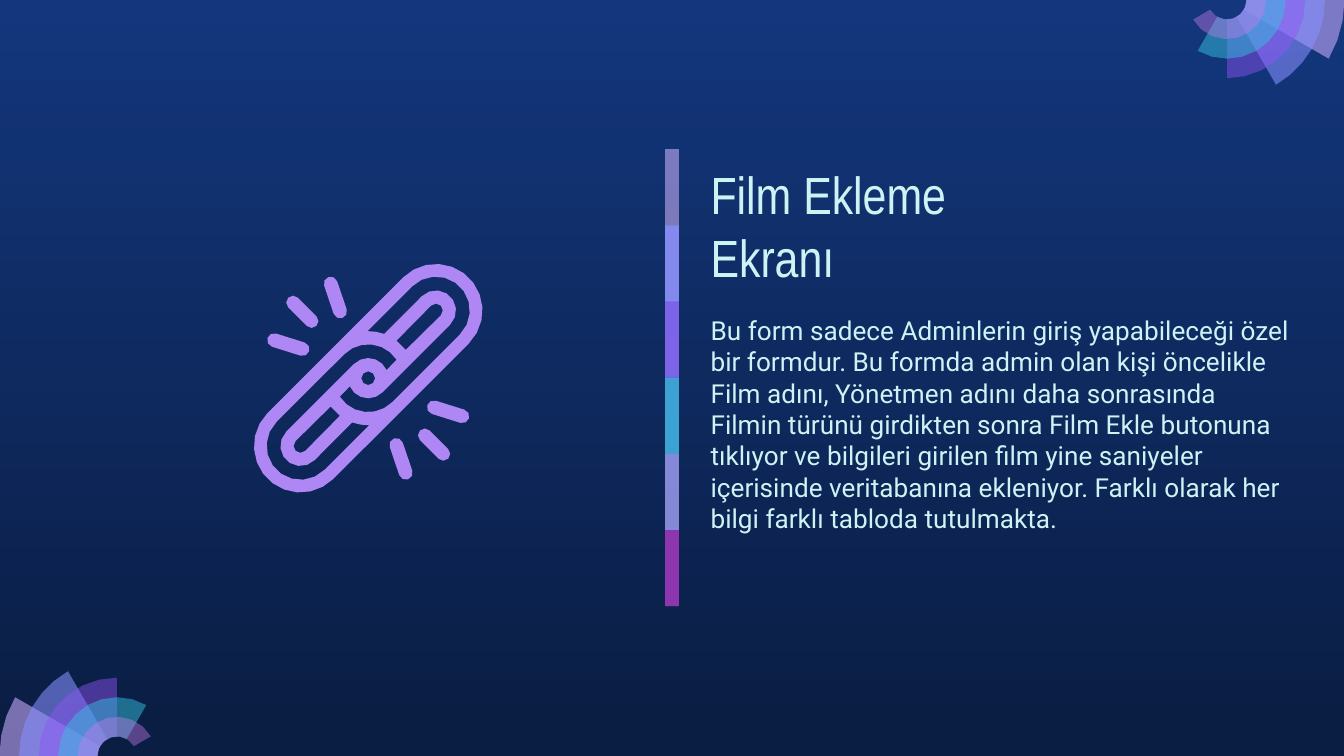
from dataclasses import dataclass
from math import acos, atan2, ceil, cos, degrees, radians, sin

from lxml import etree
from pptx import Presentation
from pptx.dml.color import RGBColor
from pptx.enum.shapes import MSO_SHAPE
from pptx.enum.text import MSO_ANCHOR
from pptx.oxml.ns import qn
from pptx.util import Cm, Pt

RECTANGLE = MSO_SHAPE.RECTANGLE
TOP, BOTTOM = MSO_ANCHOR.TOP, MSO_ANCHOR.BOTTOM

Point = tuple[float, float]
Outline = list[Point]


@dataclass(frozen=True)
class Tint:
    color: str
    opacity: int = 100


@dataclass(frozen=True)
class Theme:
    sky: tuple[str, str] = ("13367C", "0A1D42")
    text: str = "CEF3F5"
    icon: Tint = Tint("AE87F5")
    bars: tuple[Tint, ...] = (
        Tint("C8AEF8", 59), Tint("878FFF", 74), Tint("9154F8", 53),
        Tint("35C2DF", 76), Tint("CA7BEB", 56), Tint("972CB4", 74),
    )
    fan: tuple[Tint, ...] = (
        Tint("C8ACFD", 58), Tint("878FFF", 58), Tint("9154F8", 46),
        Tint("35C2DF", 49), Tint("CA7BEB", 42),
    )
    title_font: str = "Arial Narrow"
    title_size: int = 28
    body_font: str = "Roboto"
    body_size: int = 14


@dataclass(frozen=True)
class TextBlock:
    text: str
    left: float
    top: float
    width: float
    height: float
    font: str
    size: int
    anchor: MSO_ANCHOR


THEME = Theme()
SLIDE_WIDTH, SLIDE_HEIGHT = 25.4, 14.29
TEXT_LEFT = 13.18
ARC_TOLERANCE = 0.01

TEXT_BLOCKS = (
    TextBlock("Film Ekleme Ekranı", TEXT_LEFT, 3, 5.28, 2.69,
              THEME.title_font, THEME.title_size, BOTTOM),
    TextBlock(
        "Bu form sadece Adminlerin giriş yapabileceği özel bir formdur. "
        "Bu formda admin olan kişi öncelikle Film adını, Yönetmen adını daha "
        "sonrasında Filmin türünü girdikten sonra Film Ekle butonuna tıklıyor "
        "ve bilgileri girilen film yine saniyeler içerisinde veritabanına "
        "ekleniyor. Farklı olarak her bilgi farklı tabloda tutulmakta.",
        TEXT_LEFT, 5.69, 11.48, 5, THEME.body_font, THEME.body_size, TOP),
)


def paint(shape, tint: Tint) -> None:
    shape.shadow.inherit = False
    shape.line.fill.background()
    shape.fill.solid()
    shape.fill.fore_color.rgb = RGBColor.from_string(tint.color)
    if tint.opacity < 100:
        color = shape.fill._xPr.find(qn("a:solidFill"))[0]
        etree.SubElement(color, qn("a:alpha"), val=str(tint.opacity * 1000))


def arc(center: Point, radius: float, start: float, end: float) -> Outline:
    """Fewest points that keep the arc round; degrees run clockwise from the right."""
    widest_step = 2 * degrees(acos(1 - ARC_TOLERANCE / radius))
    steps = ceil(abs(end - start) / widest_step)
    angles = [radians(start + (end - start) * i / steps) for i in range(steps + 1)]
    return [(center[0] + radius * cos(a), center[1] + radius * sin(a)) for a in angles]


def capsule(start: Point, end: Point, radius: float) -> Outline:
    heading = degrees(atan2(end[1] - start[1], end[0] - start[0]))
    return (arc(end, radius, heading - 90, heading + 90)
            + arc(start, radius, heading + 90, heading + 270))


def draw_outlines(page, outlines: list[Outline], tint: Tint) -> None:
    """Draw one freeform; outlines after the first are holes."""
    contours = [[(Cm(x), Cm(y)) for x, y in outline] for outline in outlines]
    builder = page.shapes.build_freeform(*contours[0][0], scale=1.0)
    builder.add_line_segments(contours[0][1:], close=True)
    for contour in contours[1:]:
        builder.move_to(*contour[0])
        builder.add_line_segments(contour[1:], close=True)
    paint(builder.convert_to_shape(), tint)


def draw_background(page) -> None:
    fill = page.background.fill
    fill.gradient()
    fill.gradient_angle = 270
    for stop, color in zip(fill.gradient_stops, THEME.sky):
        stop.color.rgb = RGBColor.from_string(color)


def draw_bars(page) -> None:
    """Stack bars two steps tall, so each overlaps the next one."""
    left, top, width, step = 12.57, 2.82, 0.26, 1.44
    last = len(THEME.bars) - 1
    for i, tint in enumerate(THEME.bars):
        height = step if i == last else 2 * step
        bar = page.shapes.add_shape(
            RECTANGLE, Cm(left), Cm(top + i * step), Cm(width), Cm(height))
        paint(bar, tint)


def draw_fan(page, center: Point, start: float) -> None:
    """Each blade is one ring shorter and 30 degrees wider than the last."""
    ring = 0.37
    for i, tint in enumerate(THEME.fan):
        end = start + 30 * (i + 1)
        blade = arc(center, ring * (6 - i), start, end) + arc(center, ring, end, start)
        draw_outlines(page, [blade], tint)


def draw_chain_icon(page) -> None:
    middle_x, middle_y = middle = (6.96, 7.15)
    reach = 1.28
    upper = (middle_x + reach, middle_y - reach)
    lower = (middle_x - reach, middle_y + reach)
    dot, inner, outer, cut, rim = 0.13, 0.38, 0.64, 0.89, 0.88

    outlines = [capsule(lower, upper, rim), arc(middle, dot, 0, 360)]
    for end, tilt in ((upper, -45), (lower, 135)):
        link = (arc(end, outer, tilt - 90, tilt + 90)
                + arc(middle, outer, tilt + 90, tilt + 192)
                + arc(middle, inner, tilt + 201, tilt + 90)
                + arc(end, inner, tilt + 90, tilt - 90)
                + arc(middle, cut, tilt - 25, tilt - 46))
        slot = (arc(end, dot, tilt - 90, tilt + 90)
                + arc(middle, cut, tilt + 8, tilt - 8))
        outlines += [link, slot]
    draw_outlines(page, outlines, THEME.icon)

    rays = (
        ((1.07, 1.08), (1.42, 1.43)),
        ((1.24, 0.55), (1.78, 0.72)),
        ((0.53, 1.26), (0.71, 1.79)),
    )
    for side in (1, -1):
        for ray in rays:
            start, end = [(middle_x + side * x, middle_y + side * y) for x, y in ray]
            draw_outlines(page, [capsule(start, end, dot)], THEME.icon)


def draw_text(page, block: TextBlock) -> None:
    box = page.shapes.add_textbox(
        Cm(block.left), Cm(block.top), Cm(block.width), Cm(block.height))
    frame = box.text_frame
    frame.word_wrap = True
    frame.vertical_anchor = block.anchor
    frame.margin_left = frame.margin_right = Cm(0.25)
    frame.margin_top = frame.margin_bottom = Cm(0.25)
    frame.text = block.text
    font = frame.paragraphs[0].runs[0].font
    font.name = block.font
    font.size = Pt(block.size)
    font.color.rgb = RGBColor.from_string(THEME.text)


def main() -> None:
    deck = Presentation()
    deck.slide_width, deck.slide_height = Cm(SLIDE_WIDTH), Cm(SLIDE_HEIGHT)
    page = deck.slides.add_slide(deck.slide_layouts[6])
    draw_background(page)
    draw_bars(page)
    for block in TEXT_BLOCKS:
        draw_text(page, block)
    fan_inset = 2.21
    draw_fan(page, (fan_inset, SLIDE_HEIGHT), 180)
    draw_fan(page, (SLIDE_WIDTH - fan_inset, 0), 0)
    draw_chain_icon(page)
    deck.save("out.pptx")


if __name__ == "__main__":
    main()
